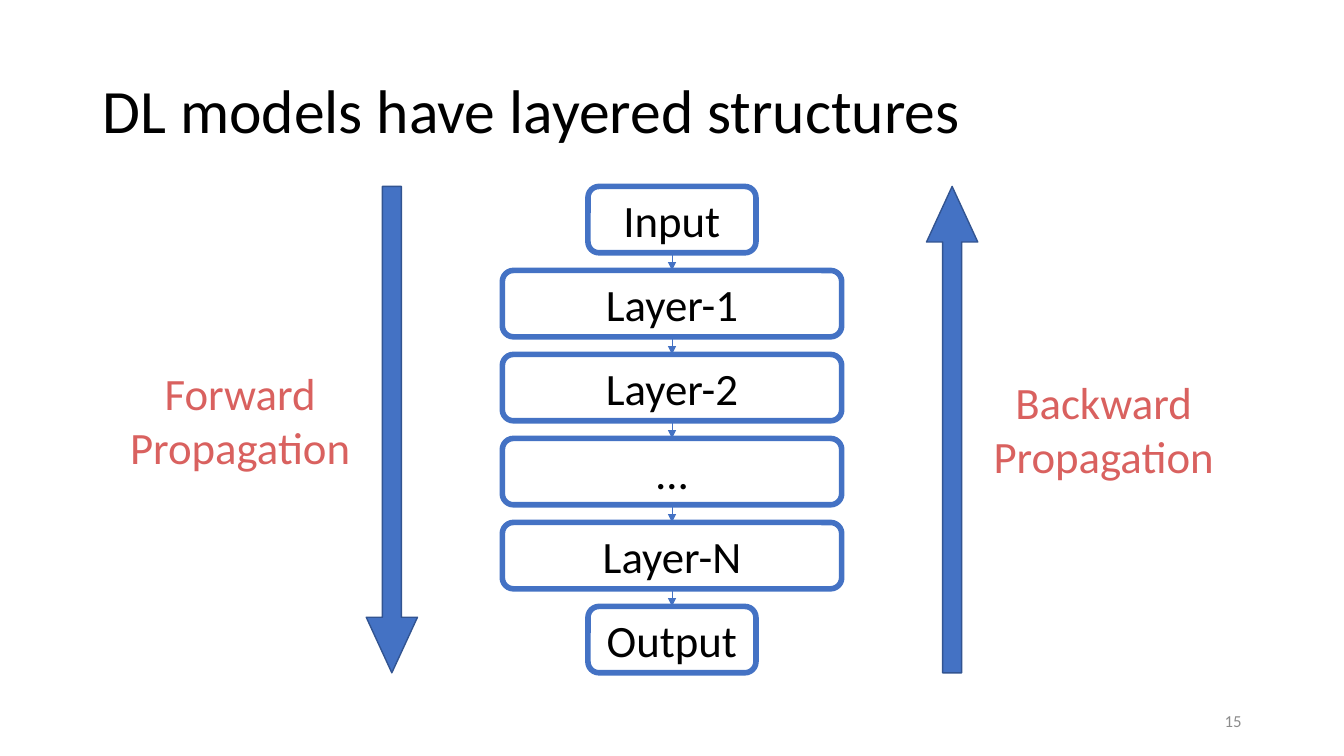
import dataclasses
import pptx
import pptx.util
import pptx.dml.color
import pptx.enum.shapes
import pptx.enum.text
import pptx.oxml.ns
import lxml.etree

Shape = pptx.enum.shapes.MSO_SHAPE
Align = pptx.enum.text.PP_ALIGN
Anchor = pptx.enum.text.MSO_ANCHOR


@dataclasses.dataclass
class Theme:
    font: str = "Calibri"
    ink: str = "000000"
    paper: str = "FFFFFF"
    blue: str = "4472C4"
    edge: str = "325491"
    red: str = "D9615F"
    gray: str = "8C8C8C"
    head: int = 44
    body: int = 32
    small: int = 12


class Deck:
    cols, rows = 16, 9

    def __init__(self, theme):
        self.theme = theme
        self.show = pptx.Presentation()
        self.show.slide_width = pptx.util.Inches(13.33)
        self.show.slide_height = pptx.util.Inches(7.5)
        self.slide = self.show.slides.add_slide(self.show.slide_layouts[5])

    def area(self, col, row, wide, high):
        across = self.show.slide_width / self.cols
        down = self.show.slide_height / self.rows
        return [int(n) for n in (col * across, row * down, wide * across, high * down)]

    def color(self, code):
        return pptx.dml.color.RGBColor.from_string(code)

    def letter(self, shape, text, size, color, align=Align.CENTER, anchor=Anchor.MIDDLE):
        frame = shape.text_frame
        frame.text = text
        frame.word_wrap = True
        frame.auto_size = pptx.enum.text.MSO_AUTO_SIZE.NONE
        frame.vertical_anchor = anchor
        for para in frame.paragraphs:
            para.alignment = align
            for run in para.runs:
                run.font.name = self.theme.font
                run.font.size = pptx.util.Pt(size)
                run.font.color.rgb = self.color(color)

    def title(self, text, *place):
        shape = self.slide.shapes.title
        shape.left, shape.top, shape.width, shape.height = self.area(*place)
        self.letter(shape, text, self.theme.head, self.theme.ink, Align.LEFT)
        shape.text_frame.paragraphs[0].line_spacing = 0.9

    def label(self, text, place, size, color, align=Align.CENTER, anchor=Anchor.TOP):
        shape = self.slide.shapes.add_textbox(*self.area(*place))
        self.letter(shape, text, size, color, align, anchor)

    def form(self, kind, place, fill, edge, weight):
        shape = self.slide.shapes.add_shape(kind, *self.area(*place))
        shape.shadow.inherit = False
        shape.fill.solid()
        shape.fill.fore_color.rgb = self.color(fill)
        shape.line.color.rgb = self.color(edge)
        shape.line.width = pptx.util.Pt(weight)
        return shape

    def box(self, text, *place):
        shape = self.form(Shape.ROUNDED_RECTANGLE, place, self.theme.paper, self.theme.blue, 4)
        self.letter(shape, text, self.theme.body, self.theme.ink)
        return shape

    def arrow(self, kind, *place):
        shape = self.form(kind, place, self.theme.blue, self.theme.edge, 1)
        shape.adjustments[0] = 0.37
        shape.adjustments[1] = 1.085

    def link(self, upper, lower):
        line = self.slide.shapes.add_connector(
            pptx.enum.shapes.MSO_CONNECTOR.STRAIGHT, 0, 0, 0, 0)
        line.begin_connect(upper, 2)
        line.end_connect(lower, 0)
        line.line.color.rgb = self.color(self.theme.blue)
        line.line.width = pptx.util.Pt(0.5)
        name = pptx.oxml.ns.qn
        props = line.element.spPr
        tail = lxml.etree.SubElement(props.find(name("a:ln")), name("a:tailEnd"))
        tail.set("type", "triangle")
        lxml.etree.SubElement(props, name("a:effectLst"))


def main():
    theme = Theme()
    deck = Deck(theme)
    deck.title("DL models have layered structures", 1.1, 0.48, 13.8, 1.74)
    deck.label("15", (11.3, 8.34, 3.6, 0.48), theme.small, theme.gray,
               Align.RIGHT, Anchor.MIDDLE)

    top, mid, high = 2.22, deck.cols / 2, 0.79
    names = ["Input", "Layer-1", "Layer-2", "…", "Layer-N", "Output"]
    boxes = []
    for step, name in enumerate(names):
        wide = 2 if name in ("Input", "Output") else 4.04
        boxes.append(deck.box(name, mid - wide / 2, top + step, wide, high))
    for upper, lower in zip(boxes, boxes[1:]):
        deck.link(upper, lower)

    span = len(names) - 1 + high
    passes = [
        ("Forward", Shape.DOWN_ARROW, 4.36, 1.36, 4.3),
        ("Backward", Shape.UP_ARROW, 11.03, 11.64, 4.4),
    ]
    for name, kind, col, left, row in passes:
        deck.arrow(kind, col, top, 0.61, span)
        deck.label(name + "\nPropagation", (left, row, 3, 1.42), theme.body, theme.red)

    deck.show.save("out.pptx")


if __name__ == "__main__":
    main()
